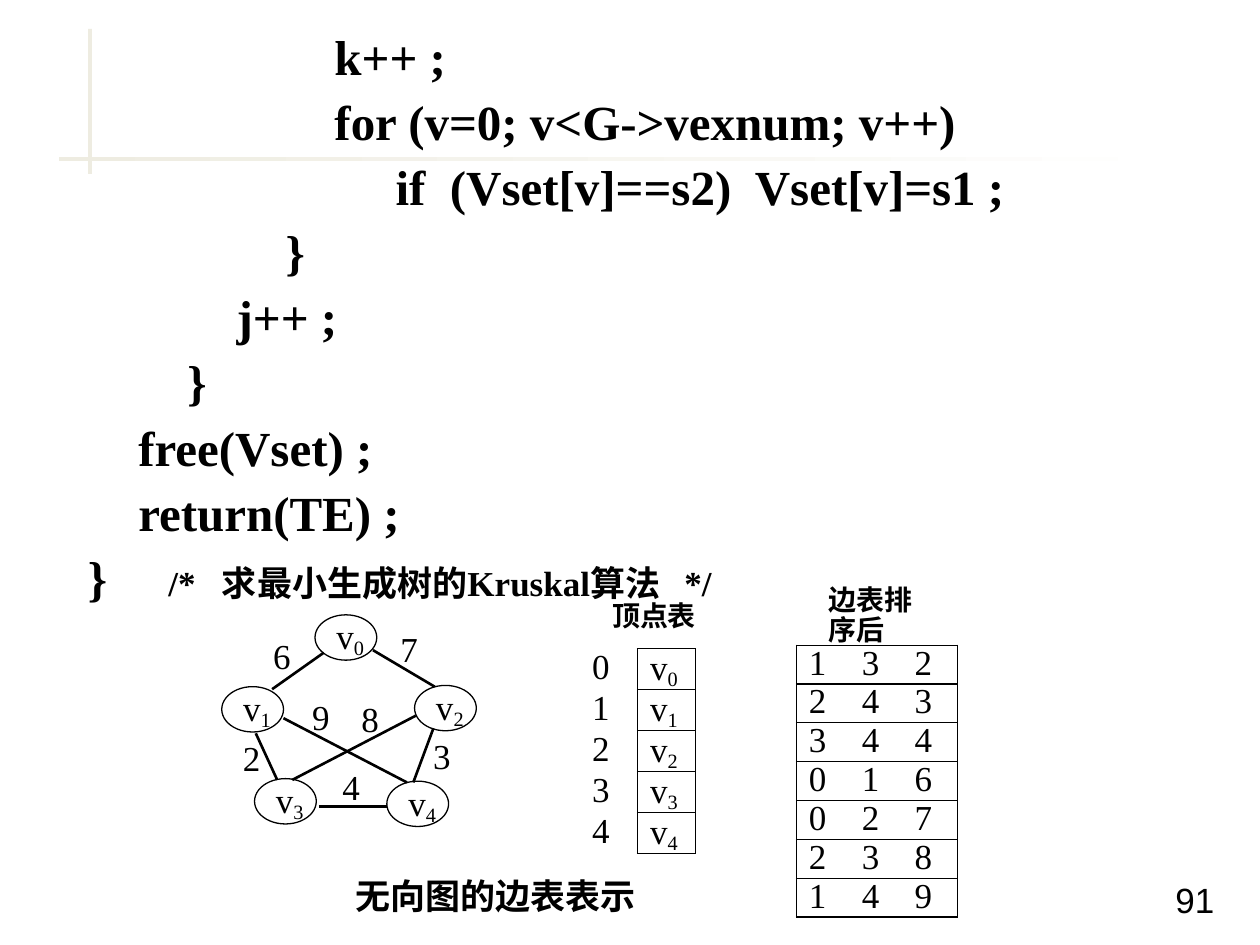
import pptx
import pptx.dml.color
import pptx.enum.shapes
import pptx.enum.text
import pptx.util
from lxml import etree
from pptx.oxml.ns import qn

Inches = pptx.util.Inches
Pt = pptx.util.Pt
RGBColor = pptx.dml.color.RGBColor
Shape = pptx.enum.shapes.MSO_SHAPE
Anchor = pptx.enum.text.MSO_ANCHOR

BLACK = RGBColor(0, 0, 0)
WHITE = RGBColor(0xFF, 0xFF, 0xFF)
CREAM = RGBColor(0xEE, 0xEC, 0xE1)
SERIF, SANS, HAN = "Times New Roman", "Arial", "Noto Sans CJK SC"

CODE = [  # level, text
    (4, "        k++ ;"),
    (4, "        for (v=0; v<G->vexnum; v++)"),
    (4, "             if  (Vset[v]==s2)  Vset[v]=s1 ;"),
    (4, "    }"),
    (4, "j++ ;"),
    (3, "}"),
    (2, "free(Vset) ;"),
    (2, "return(TE) ;"),
    (1, "}     "),
]
NOTE = "/*   求最小生成树的Kruskal算法   */"
NODES = [(2.5, 4.88), (1.76, 5.45), (3.29, 5.44), (2.02, 6.18), (3.07, 6.2)]
LINKS = [  # weight, label place, line start, line end
    (6, (2.07, 5.08), (2.57, 5.18), (2.16, 5.47)),
    (7, (3.08, 5.02), (2.96, 5.16), (3.45, 5.45)),
    (4, (2.62, 6.12), (2.53, 6.4), (3.07, 6.4)),
    (2, (1.83, 5.89), (2.03, 5.82), (2.2, 6.19)),
    (3, (3.34, 5.87), (3.44, 5.78), (3.28, 6.21)),
    (9, (2.38, 5.56), (2.25, 5.7), (3.23, 6.21)),
    (8, (2.77, 5.58), (3.3, 5.68), (2.32, 6.19)),
]
EDGES = ["132", "243", "344", "016", "027", "238", "149"]


class Board:
    def __init__(self, slide):
        self.slide = slide
        self.shapes = slide.shapes

    def style(self, run, size=20, bold=False, face=SERIF):
        font = run.font
        font.size, font.bold = Pt(size), bold
        font.color.rgb = BLACK
        font.name = face
        etree.SubElement(font._element, qn("a:ea")).set("typeface", HAN)

    def put(self, frame, text, sub="", **look):
        """Fill a frame with one line, with an optional subscript."""
        para = frame.paragraphs[0]
        para.text = text
        para.line_spacing = 0.9
        if sub:
            para.add_run().text = sub
        for run in para.runs:
            self.style(run, **look)
        if sub:
            para.runs[-1].font._element.set("baseline", "-18000")

    def bar(self, x, y, wide, high, fade=False):
        bar = self.shapes.add_shape(
            Shape.RECTANGLE, Inches(x), Inches(y), Inches(wide), Inches(high))
        bar.shadow.inherit = False
        bar.line.fill.background()
        if fade:
            bar.fill.gradient()
            bar.fill.gradient_angle = 0
            for stop, color in zip(bar.fill.gradient_stops, (CREAM, WHITE)):
                stop.color.rgb = color
        else:
            bar.fill.solid()
            bar.fill.fore_color.rgb = CREAM

    def label(self, x, y, wide, high, text, **look):
        box = self.shapes.add_textbox(
            Inches(x), Inches(y), Inches(wide), Inches(high))
        frame = box.text_frame
        frame.word_wrap = False
        frame.vertical_anchor = Anchor.MIDDLE
        self.put(frame, text, **look)

    def code(self, x, y, wide, high, lines, note):
        box = self.shapes.add_textbox(
            Inches(x), Inches(y), Inches(wide), Inches(high))
        frame = box.text_frame
        frame.word_wrap = True
        for i, (level, text) in enumerate(lines):
            para = frame.add_paragraph() if i else frame.paragraphs[0]
            para.text = text
            para.line_spacing = 0.9
            if i:
                para.space_before = Pt(7)
            props = para._p.get_or_add_pPr()
            props.set("marL", str(Inches(0.39 * level + 0.01 * (level > 1))))
            props.set("indent", "0")
            self.style(para.runs[0], 28, True)
        run = para.add_run()
        run.text = note
        self.style(run, 20, True)

    def node(self, x, y, index):
        node = self.shapes.add_shape(
            Shape.OVAL, Inches(x), Inches(y), Inches(0.49), Inches(0.36))
        node.shadow.inherit = False
        node.fill.background()
        node.line.color.rgb = BLACK
        node.line.width = Pt(0.75)
        frame = node.text_frame
        frame.word_wrap = False
        frame.vertical_anchor = Anchor.MIDDLE
        self.put(frame, "v", str(index))
        frame.paragraphs[0].alignment = pptx.enum.text.PP_ALIGN.LEFT

    def link(self, start, end):
        line = self.shapes.add_connector(
            pptx.enum.shapes.MSO_CONNECTOR.STRAIGHT,
            *[Inches(n) for n in start + end])
        line.line.color.rgb = BLACK
        line.line.width = Pt(1.5)
        etree.SubElement(line._element.spPr, qn("a:effectLst"))

    def border(self, cell, sides):
        """Draw the given sides of a cell, and clear the others."""
        props = cell._tc.get_or_add_tcPr()
        for side in "LRTB":
            edge = etree.SubElement(props, qn("a:ln" + side))
            edge.set("w", str(Pt(0.75)))
            if side in sides:
                fill = etree.SubElement(edge, qn("a:solidFill"))
                etree.SubElement(fill, qn("a:srgbClr")).set("val", str(BLACK))
            else:
                etree.SubElement(edge, qn("a:noFill"))

    def table(self, x, y, widths, high, rows, sides):
        """Rows hold (text, subscript) pairs; sides has one entry a column."""
        table = self.shapes.add_table(
            len(rows), len(widths), Inches(x), Inches(y),
            Inches(sum(widths)), Inches(high)).table
        table.first_row = table.horz_banding = False
        for col, wide in zip(table.columns, widths):
            col.width = Inches(wide)
        for r, row in enumerate(rows):
            table.rows[r].height = Inches(high / len(rows))
            for c, (text, sub) in enumerate(row):
                cell = table.cell(r, c)
                cell.margin_left = Inches(0.1)
                cell.margin_right = cell.margin_top = cell.margin_bottom = 0
                cell.vertical_anchor = Anchor.MIDDLE
                self.border(cell, sides[c])
                cell.fill.background()
                self.put(cell.text_frame, text, sub)


def main():
    deck = pptx.Presentation()
    deck.slide_width, deck.slide_height = Inches(10), Inches(7.5)
    board = Board(deck.slides.add_slide(deck.slide_layouts[6]))

    board.bar(0.7, 0.23, 0.03, 1.15)
    board.bar(0.47, 1.25, 9, 0.03, fade=True)
    board.label(9.23, 6.96, 0.78, 0.4, "91", face=SANS)
    board.code(0.21, 0.21, 9.6, 4.72, CODE, NOTE)

    board.label(2.72, 6.97, 3.33, 0.31, "无向图的边表表示", bold=True)
    for index, (x, y) in enumerate(NODES):
        board.node(x, y, index)
    for weight, (x, y), start, end in LINKS:
        board.link(start, end)
        board.label(x, y, 0.33, 0.29, str(weight))

    board.label(4.76, 4.73, 0.98, 0.34, "顶点表", size=16, bold=True, face=HAN)
    names = [[(str(i), ""), ("v", str(i))] for i in range(len(NODES))]
    board.table(4.6, 5.15, [0.46, 0.46], 1.53, names, ["R", "LRTB"])

    board.label(6.48, 4.72, 0.93, 0.34, "边表排序后", size=16, bold=True, face=HAN)
    edges = [[(digit, "") for digit in edge] for edge in EDGES]
    board.table(6.32, 5.12, [0.42, 0.42, 0.44], 2.16, edges,
                ["LTB", "TB", "RTB"])
    deck.save("out.pptx")


if __name__ == "__main__":
    main()
